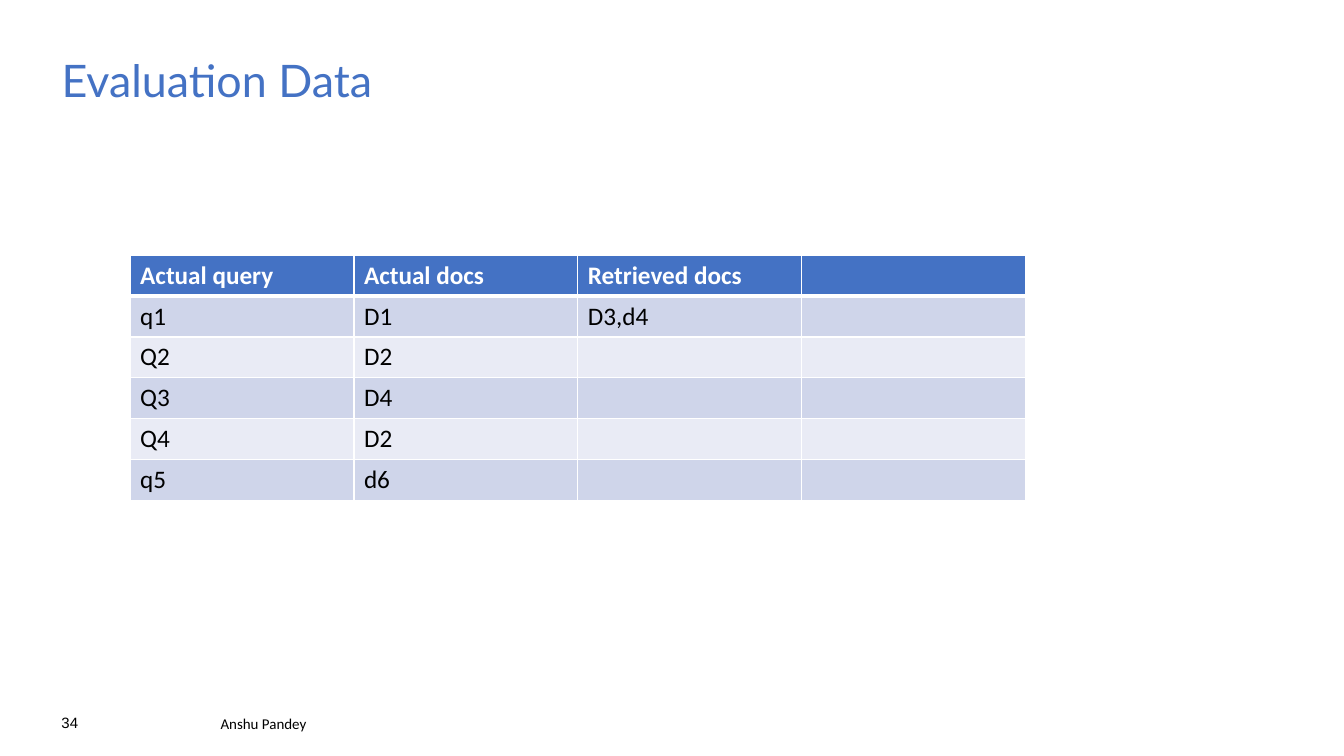
from dataclasses import dataclass

from lxml import etree
from pptx import Presentation
from pptx.dml.color import RGBColor
from pptx.enum.text import MSO_ANCHOR, PP_ALIGN
from pptx.oxml.ns import qn
from pptx.util import Cm, Pt

TOP = MSO_ANCHOR.TOP
BOTTOM = MSO_ANCHOR.BOTTOM
LEFT = PP_ALIGN.LEFT
TITLE_ONLY = 5
COLORS = {
    "accent": "4472C4",
    "white": "FFFFFF",
    "black": "000000",
    "odd_band": "CFD5EA",
    "even_band": "E9EBF5",
}
ROWS = [
    ["Actual query", "Actual docs", "Retrieved docs", ""],
    ["q1", "D1", "D3,d4", ""],
    ["Q2", "D2", "", ""],
    ["Q3", "D4", "", ""],
    ["Q4", "D2", "", ""],
    ["q5", "d6", "", ""],
]
COLUMN_WIDTH = 5.64
ROW_HEIGHT = 1.03


@dataclass
class FooterItem:
    text: str
    left: float
    top: float
    width: float
    font: str
    wrap: bool


FOOTER_ITEMS = [
    FooterItem("34", 1.55, 17.98, 0.46, "Arial", False),
    FooterItem("Anshu Pandey", 5.56, 18.01, 5.87, "Calibri", True),
]


def write_text(text_frame, text: str, *, size: float, font: str, color: str,
               bold: bool = False, line_spacing: float = 1.0) -> None:
    paragraph = text_frame.paragraphs[0]
    paragraph.alignment = LEFT
    paragraph.line_spacing = line_spacing
    if not text:
        paragraph.font.size = Pt(size)
        return
    run = paragraph.add_run()
    run.text = text
    run.font.size = Pt(size)
    run.font.name = font
    run.font.bold = bold
    run.font.color.rgb = RGBColor.from_string(COLORS[color])


def place_frame(shape, left: float, top: float, width: float, height: float,
                anchor: MSO_ANCHOR, wrap: bool = True) -> None:
    shape.left, shape.top = Cm(left), Cm(top)
    shape.width, shape.height = Cm(width), Cm(height)
    text_frame = shape.text_frame
    text_frame.margin_left = text_frame.margin_right = 0
    text_frame.margin_top = text_frame.margin_bottom = 0
    text_frame.vertical_anchor = anchor
    text_frame.word_wrap = wrap


def add_border(cell, side: str, width: float) -> None:
    properties = cell._tc.get_or_add_tcPr()
    line = etree.SubElement(properties, qn(f"a:{side}"), w=str(Pt(width)))
    fill = etree.SubElement(line, qn("a:solidFill"))
    etree.SubElement(fill, qn("a:srgbClr"), val=COLORS["white"])


def format_cell(cell, text: str, row_index: int) -> None:
    is_header = row_index == 0
    band = "odd_band" if row_index % 2 else "even_band"
    for side in ("lnL", "lnR", "lnT", "lnB"):
        thick = (is_header and side == "lnB") or (row_index == 1 and side == "lnT")
        add_border(cell, side, 3 if thick else 1)
    cell.fill.solid()
    cell.fill.fore_color.rgb = RGBColor.from_string(
        COLORS["accent" if is_header else band])
    write_text(cell.text_frame, text, size=18, font="Calibri",
               color="white" if is_header else "black", bold=is_header)


def add_evaluation_table(slide) -> None:
    row_count, column_count = len(ROWS), len(ROWS[0])
    table = slide.shapes.add_table(
        row_count, column_count, Cm(3.28), Cm(6.43),
        Cm(COLUMN_WIDTH * column_count), Cm(ROW_HEIGHT * row_count)).table
    for column in table.columns:
        column.width = Cm(COLUMN_WIDTH)
    for row_index, texts in enumerate(ROWS):
        table.rows[row_index].height = Cm(ROW_HEIGHT)
        for column_index, text in enumerate(texts):
            format_cell(table.cell(row_index, column_index), text, row_index)


def add_footer_item(slide, item: FooterItem) -> None:
    shape = slide.shapes.add_textbox(0, 0, 0, 0)
    place_frame(shape, item.left, item.top, item.width, 0.46, BOTTOM, item.wrap)
    write_text(shape.text_frame, item.text, size=10.7, font=item.font, color="black")


def main() -> None:
    presentation = Presentation()
    presentation.slide_width = Cm(33.87)
    presentation.slide_height = Cm(19.05)
    slide = presentation.slides.add_slide(presentation.slide_layouts[TITLE_ONLY])
    title = slide.shapes.title
    place_frame(title, 1.55, 1.47, 30.78, 1.27, TOP)
    write_text(title.text_frame, "Evaluation Data", size=32, font="Lato",
               color="accent", line_spacing=0.9)
    add_evaluation_table(slide)
    for item in FOOTER_ITEMS:
        add_footer_item(slide, item)
    presentation.save("out.pptx")


if __name__ == "__main__":
    main()
